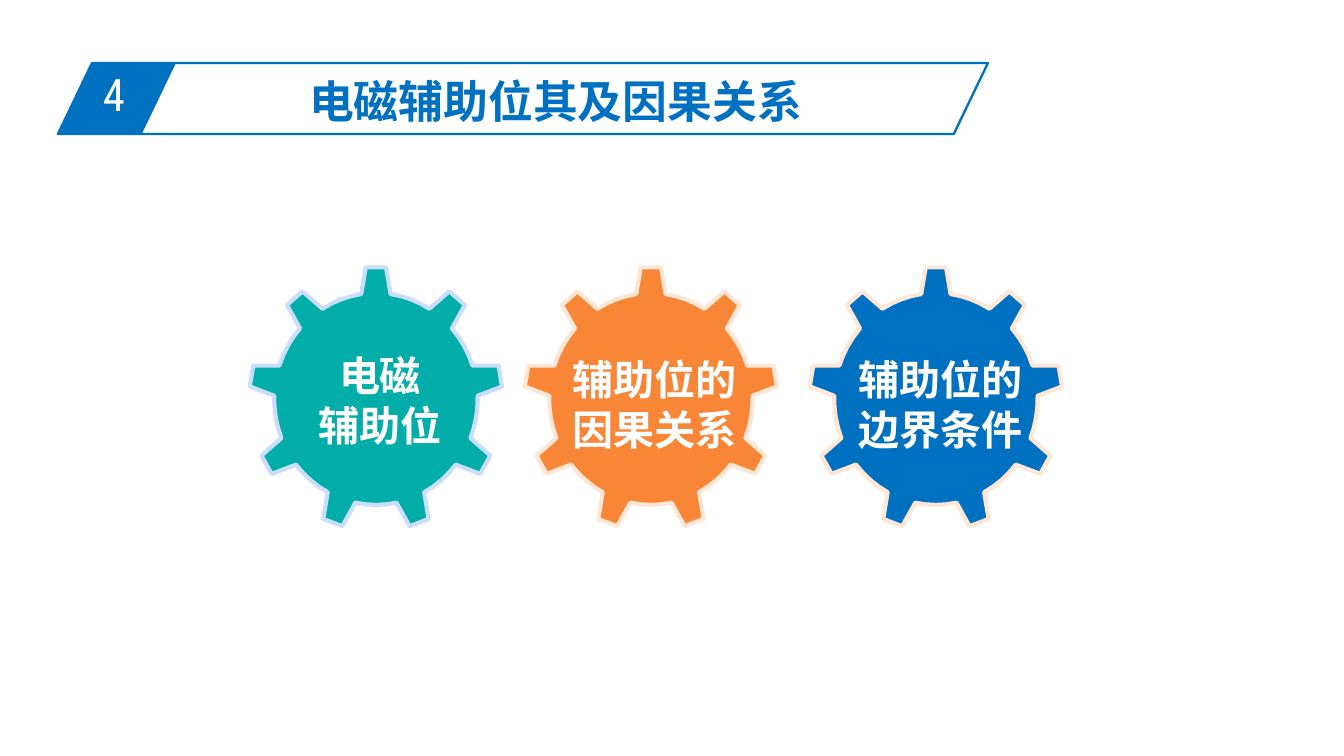
from dataclasses import dataclass
from math import cos, radians, sin

from pptx import Presentation
from pptx.dml.color import RGBColor
from pptx.enum.shapes import MSO_SHAPE
from pptx.enum.text import PP_ALIGN
from pptx.oxml.ns import qn
from pptx.util import Pt

PARALLELOGRAM = MSO_SHAPE.PARALLELOGRAM
LEFT, CENTER = PP_ALIGN.LEFT, PP_ALIGN.CENTER
PX = 914400 / 134.4  # EMU in one px


def emu(px):
    return round(px * PX)


@dataclass(frozen=True)
class Theme:
    blue: str = "0070C0"
    teal: str = "00ADA9"
    orange: str = "F98637"
    pale_blue: str = "CADDFA"
    pale_orange: str = "FEE7D7"
    white: str = "FFFFFF"
    title_size: int = 24
    gear_size: int = 22
    title_font: str = "Noto Sans CJK SC"
    gear_font: str = "Noto Sans CJK JP"
    number_font: str = "Roboto Condensed"


def write_text(frame, text, *, font, size, color, bold=False, align=CENTER, spacing=None):
    for index, line in enumerate(text.split("\n")):
        paragraph = frame.add_paragraph() if index else frame.paragraphs[0]
        paragraph.alignment = align
        if spacing:
            paragraph.line_spacing = spacing
        run = paragraph.add_run()
        run.text = line
        run.font.name = font
        run.font.size = Pt(size)
        run.font.bold = bold
        run.font.color.rgb = RGBColor.from_string(color)
        # East Asian glyphs take their typeface from a separate element
        east_asian = run.font._element.makeelement(qn("a:ea"), {"typeface": font})
        run.font._element.find(qn("a:latin")).addnext(east_asian)


class SlideBuilder:
    def __init__(self, slide, theme):
        self.slide, self.theme = slide, theme

    def paint(self, shape, fill=None, line=None, width=1.25):
        shape.shadow.inherit = False
        if fill:
            shape.fill.solid()
            shape.fill.fore_color.rgb = RGBColor.from_string(fill)
        else:
            shape.fill.background()
        if line:
            shape.line.color.rgb = RGBColor.from_string(line)
            shape.line.width = Pt(width)
        else:
            shape.line.fill.background()

    def banner(self, shapes, box, **style):
        banner = shapes.add_shape(PARALLELOGRAM, *map(emu, box))
        banner.adjustments[0] = 0.48
        self.paint(banner, **style)

    def label(self, shapes, box, text, insets=(13, 7), **style):
        frame = shapes.add_textbox(*map(emu, box)).text_frame
        frame.word_wrap = True
        frame.margin_left = frame.margin_right = emu(insets[0])
        frame.margin_top = frame.margin_bottom = emu(insets[1])
        write_text(frame, text, **style)

    def gear(self, center_x, center_y, fill, line):
        tip, root, squeeze = 132, 106, 0.96
        teeth, tip_half, root_half, arc_steps = 9, 4.6, 8.3, 4
        pitch = 360 / teeth
        arc = (pitch - 2 * root_half) / arc_steps
        polar = []
        for tooth in range(teeth):
            middle = tooth * pitch
            polar += [(tip, middle - tip_half), (tip, middle + tip_half)]
            polar += [(root, middle + root_half + step * arc) for step in range(arc_steps + 1)]
        points = [(emu(center_x + squeeze * radius * sin(radians(angle))),
                   emu(center_y - radius * cos(radians(angle)))) for radius, angle in polar]
        outline = self.slide.shapes.build_freeform(*points[0], scale=1.0)
        outline.add_line_segments(points[1:], close=True)
        self.paint(outline.convert_to_shape(), fill, line, 2.25)


def main():
    theme = Theme()
    deck = Presentation()
    deck.slide_width, deck.slide_height = emu(1344), emu(756)
    page = SlideBuilder(deck.slides.add_slide(deck.slide_layouts[6]), theme)

    # Section header
    header = page.slide.shapes.add_group_shape().shapes
    page.banner(header, (58, 63, 118, 71), fill=theme.blue)
    page.label(header, (90, 60, 113, 67), "4", font=theme.number_font,
               size=theme.title_size, color=theme.white, align=LEFT)
    page.label(header, (194, 69, 723, 65), "电磁辅助位其及因果关系", insets=(10, 5),
               font=theme.title_font, size=theme.title_size, color=theme.blue, bold=True)
    page.banner(header, (58, 63, 930, 71), line=theme.blue)

    # Three topics, each on a gear
    topics = [
        (376, theme.teal, theme.pale_blue, (304, 344, 152, 113), "电磁\n辅助位"),
        (651, theme.orange, theme.pale_orange, (555, 348, 200, 113), "辅助位的因果关系"),
        (936, theme.blue, theme.pale_orange, (841, 348, 200, 113), "辅助位的边界条件"),
    ]
    for center_x, fill, line, box, topic in topics:
        page.gear(center_x, 399, fill, line)
        page.label(page.slide.shapes, box, topic, font=theme.gear_font,
                   size=theme.gear_size, color=theme.white, bold=True)

    deck.save("out.pptx")


if __name__ == "__main__":
    main()
